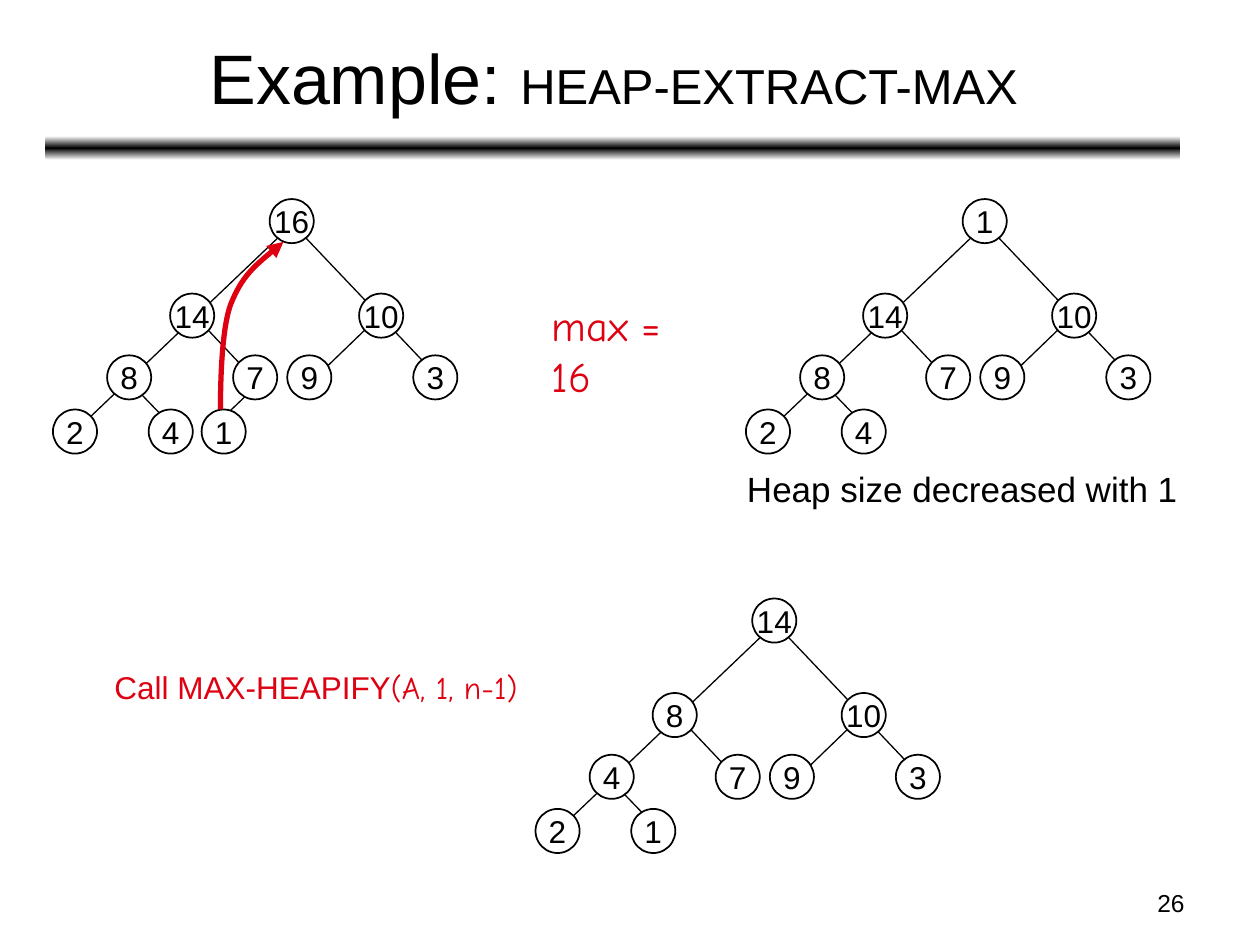
import copy
import dataclasses

import lxml.etree
import pptx
import pptx.dml.color
import pptx.enum.shapes
import pptx.enum.text
import pptx.oxml.ns
import pptx.util

CELL = pptx.util.Inches(0.01)
COLUMNS, ROWS = 1000, 750
NODE_SIZE = 35
NODE_CELLS = [(172, 0), (93, 75), (243, 75), (43, 124), (143, 124),
              (186, 124), (286, 124), (0, 167), (76, 167), (118, 167)]
BRANCHES = [(205, 145, 261, 91), (103, 189, 49, 133), (162, 145, 109, 89),
            (313, 149, 180, 9), (18, 184, 193, 17)]
LAST_BRANCH = (124, 184, 169, 141)
HEAPS = [
    (42, 158, [16, 14, 10, 8, 7, 9, 3, 2, 4, 1]),
    (592, 158, [1, 14, 10, 8, 7, 9, 3, 2, 4]),
    (425, 475, [14, 8, 10, 4, 7, 9, 3, 2, 1]),
]
MOVE_START = (225, 192)
MOVE_CURVES = [[(208, 206), (192, 219), (183, 242)],
               [(175, 264), (175, 315), (175, 325)]]


@dataclasses.dataclass(frozen=True)
class Theme:
    """Colours, fonts and type sizes of the slide."""
    ink: str = "000000"
    paper: str = "FFFFFF"
    accent: str = "DD0111"
    plain: str = "Arial"
    hand: str = "Comic Neue"
    title: int = 40
    subtitle: int = 28
    result: int = 24
    note: int = 20
    label: int = 18
    number: int = 14


THEME = Theme()


def color(value):
    """Return a hex value as an RGB colour."""
    return pptx.dml.color.RGBColor.from_string(value)


def cells(*counts):
    """Turn grid counts into slide lengths."""
    return [count * CELL for count in counts]


def write(para, text, size, font=THEME.plain, ink=THEME.ink):
    """Add one formatted span to a paragraph."""
    span = para.add_run()
    span.text = text
    span.font.size = pptx.util.Pt(size)
    span.font.name = font
    span.font.color.rgb = color(ink)


def stroke(line, ink, width):
    """Set the colour and width of a line."""
    line.color.rgb = color(ink)
    line.width = pptx.util.Pt(width)


def add_title(page, text, subtitle):
    """Fill the title placeholder with two sizes of text."""
    title = page.shapes.title
    title.left, title.top, title.width, title.height = cells(37, 11, 900, 99)
    frame = title.text_frame
    frame.auto_size = pptx.enum.text.MSO_AUTO_SIZE.NONE
    frame.vertical_anchor = pptx.enum.text.MSO_ANCHOR.MIDDLE
    para = frame.paragraphs[0]
    para.alignment = pptx.enum.text.PP_ALIGN.CENTER
    write(para, text, THEME.title)
    write(para, subtitle, THEME.subtitle)


def add_rule(page):
    """Draw the shaded bar below the title."""
    bar = page.shapes.add_shape(
        pptx.enum.shapes.MSO_SHAPE.ROUNDED_RECTANGLE, *cells(36, 108, 901, 19))
    bar.shadow.inherit = False
    bar.line.fill.background()
    bar.fill.gradient()
    bar.fill.gradient_angle = 90
    stop_list = next(bar._element.iter(pptx.oxml.ns.qn("a:gsLst")))
    stop_list.append(copy.deepcopy(stop_list[-1]))
    shades = (THEME.paper, THEME.ink, THEME.paper)
    for stop, position, shade in zip(bar.fill.gradient_stops, (0, 0.5, 1), shades):
        stop.position = position
        stop.color.rgb = color(shade)


def add_text(page, area, spans, align=pptx.enum.text.PP_ALIGN.LEFT, wrap=False):
    """Add a text box made of formatted spans."""
    box = page.shapes.add_textbox(*cells(*area))
    box.text_frame.word_wrap = wrap
    para = box.text_frame.paragraphs[0]
    para.alignment = align
    for span in spans:
        write(para, *span)


def add_branch(tree, left, top, ends):
    """Draw one straight branch of a tree."""
    x1, y1, x2, y2 = ends
    branch = tree.shapes.add_connector(
        pptx.enum.shapes.MSO_CONNECTOR.STRAIGHT,
        *cells(left + x1, top + y1, left + x2, top + y2))
    stroke(branch.line, THEME.ink, 0.75)
    lxml.etree.SubElement(branch._element.spPr, pptx.oxml.ns.qn("a:effectLst"))


def add_node(tree, left, top, key):
    """Draw one circle holding a key."""
    node = tree.shapes.add_shape(
        pptx.enum.shapes.MSO_SHAPE.OVAL, *cells(left, top, NODE_SIZE, NODE_SIZE))
    node.shadow.inherit = False
    node.fill.solid()
    node.fill.fore_color.rgb = color(THEME.paper)
    stroke(node.line, THEME.ink, 1)
    frame = node.text_frame
    frame.word_wrap = False
    frame.vertical_anchor = pptx.enum.text.MSO_ANCHOR.MIDDLE
    para = frame.paragraphs[0]
    para.alignment = pptx.enum.text.PP_ALIGN.CENTER
    write(para, str(key), THEME.label)


def add_heap(page, left, top, keys):
    """Draw a heap, with its keys in array order, as a group."""
    tree = page.shapes.add_group_shape()
    has_last = len(keys) == len(NODE_CELLS)
    for ends in BRANCHES + [LAST_BRANCH] * has_last:
        add_branch(tree, left, top, ends)
    for (column, row), key in zip(NODE_CELLS, keys):
        add_node(tree, left + column, top + row, key)


def add_move(page):
    """Draw the curved arrow from the last leaf to the root."""
    qn = pptx.oxml.ns.qn
    builder = page.shapes.build_freeform(*MOVE_START, scale=CELL)
    builder.add_line_segments([curve[-1] for curve in MOVE_CURVES], close=False)
    move = builder.convert_to_shape()
    move.shadow.inherit = False
    move.fill.background()
    stroke(move.line, THEME.accent, 3)
    left, top = move.left // CELL, move.top // CELL
    for segment, curve in zip(list(move._element.iter(qn("a:lnTo"))), MOVE_CURVES):
        bezier = lxml.etree.Element(qn("a:cubicBezTo"))
        for x, y in curve:
            lxml.etree.SubElement(bezier, qn("a:pt"), x=str(x - left), y=str(y - top))
        segment.getparent().replace(segment, bezier)
    outline = move._element.spPr.find(qn("a:ln"))
    lxml.etree.SubElement(outline, qn("a:headEnd"), type="triangle")


def main():
    """Build the slide and save it."""
    deck = pptx.Presentation()
    deck.slide_width, deck.slide_height = cells(COLUMNS, ROWS)
    page = deck.slides.add_slide(deck.slide_layouts.get_by_name("Title Only"))
    add_rule(page)
    add_title(page, "Example: ", "HEAP-EXTRACT-MAX")
    for heap in HEAPS:
        add_heap(page, *heap)
    add_move(page)
    add_text(page, (428, 233, 149, 50),
             [("max = 16", THEME.result, THEME.hand, THEME.accent)])
    add_text(page, (583, 366, 362, 44),
             [("Heap size decreased with 1", THEME.note)])
    add_text(page, (81, 525, 340, 40),
             [("Call MAX-HEAPIFY", THEME.label, THEME.plain, THEME.accent),
              ("(A, 1, n-1)", THEME.label, THEME.hand, THEME.accent)])
    add_text(page, (717, 700, 233, 35), [("26", THEME.number)],
             pptx.enum.text.PP_ALIGN.RIGHT, True)
    deck.save("out.pptx")


if __name__ == "__main__":
    main()
